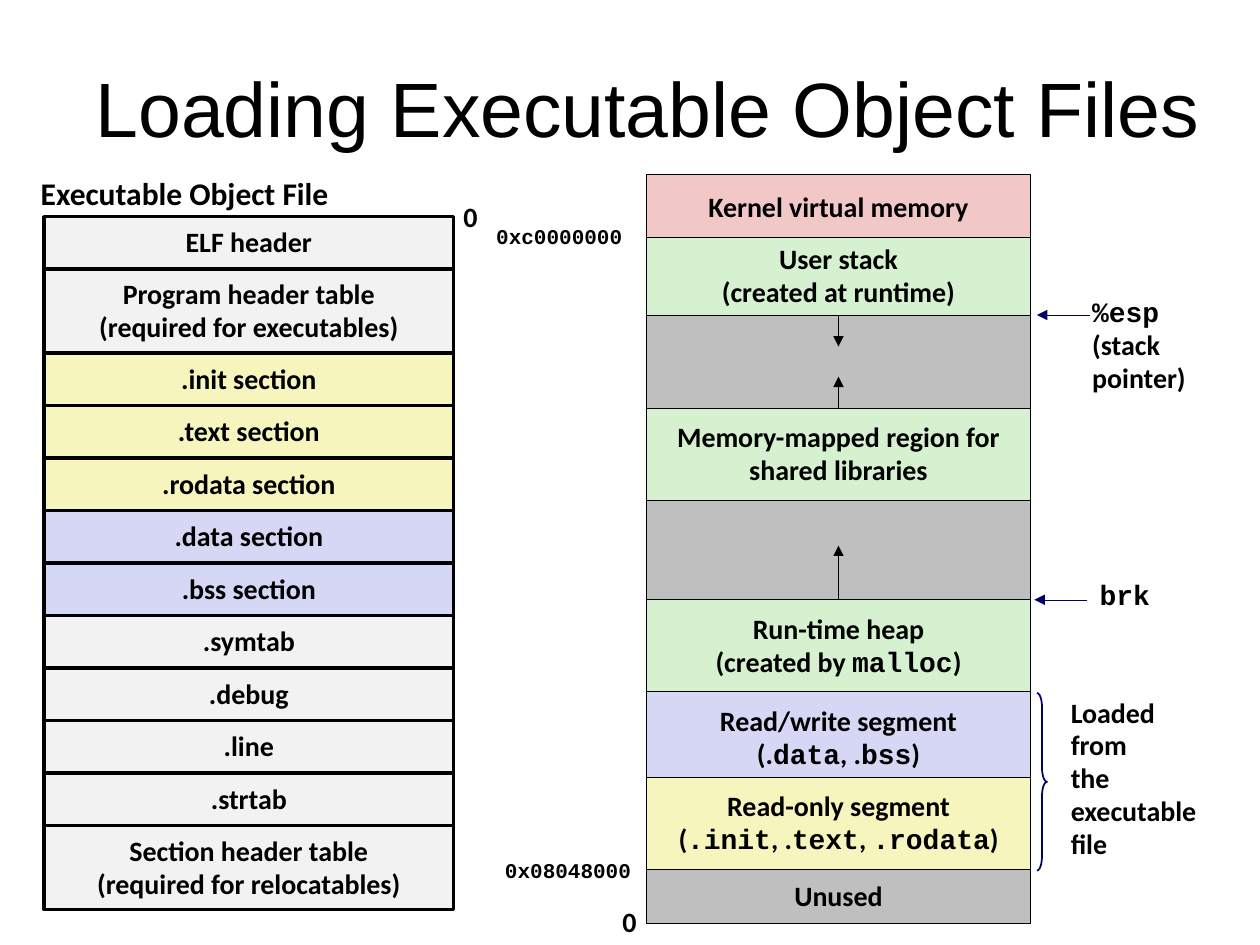
from lxml import etree
from pptx import Presentation
from pptx.dml.color import RGBColor
from pptx.enum.shapes import MSO_CONNECTOR, MSO_SHAPE
from pptx.enum.text import MSO_ANCHOR, MSO_AUTO_SIZE, PP_ALIGN
from pptx.oxml.ns import qn
from pptx.util import Inches, Pt

STRAIGHT = MSO_CONNECTOR.STRAIGHT
RECTANGLE, RIGHT_BRACE = MSO_SHAPE.RECTANGLE, MSO_SHAPE.RIGHT_BRACE
MIDDLE, TOP_ANCHOR = MSO_ANCHOR.MIDDLE, MSO_ANCHOR.TOP
GROW = MSO_AUTO_SIZE.SHAPE_TO_FIT_TEXT
LEFT, CENTER = PP_ALIGN.LEFT, PP_ALIGN.CENTER
TOP_SIDE, BOTTOM_SIDE = 0, 2

COLUMNS, ROWS = 100, 75
SLIDE_WIDTH, SLIDE_HEIGHT = Inches(10), Inches(7.5)
SANS, MONO = "Calibri", "Courier New"
COLORS = {
    "black": "000000", "navy": "000066", "header": "F2F2F2", "code": "F6F5BD",
    "data": "D6D6F5", "kernel": "F1C7C7", "dynamic": "D5F1CF", "unmapped": "BFBFBF",
}

# Text, colour, height in section rows
FILE_SECTIONS = [
    ("ELF header", "header", 1),
    ("Program header table\n(required for executables)", "header", 1.6),
    (".init section", "code", 1),
    (".text section", "code", 1),
    (".rodata section", "code", 1),
    (".data section", "data", 1),
    (".bss section", "data", 1),
    (".symtab", "header", 1),
    (".debug", "header", 1),
    (".line", "header", 1),
    (".strtab", "header", 1),
    ("Section header table\n(required for relocatables)", "header", 1.6),
]

# Name, text (code between backticks), colour, visible rows, rows under the next segment
MEMORY_SEGMENTS = [
    ("kernel", "Kernel virtual memory", "kernel", 5, 0.3),
    ("stack", "User stack\n(created at runtime)", "dynamic", 6.2, 0),
    ("stack gap", "", "unmapped", 7.4, 0),
    ("mapped", "Memory-mapped region for\nshared libraries", "dynamic", 7.3, 0),
    ("heap gap", "", "unmapped", 7.9, 0),
    ("heap", "Run-time heap\n(created by `malloc`)", "dynamic", 7.3, 0),
    ("read/write", "Read/write segment\n(.`data`, .`bss`)", "data", 6.8, 0.5),
    ("read-only", "Read-only segment\n(`.init`, .`text`, `.rodata`)", "code", 7.3, 0),
    ("unused", "Unused", "unmapped", 4.3, 0),
]


def across(columns):
    return round(SLIDE_WIDTH * columns / COLUMNS)


def down(rows):
    return round(SLIDE_HEIGHT * rows / ROWS)


def place(left, top, width, height):
    return across(left), down(top), across(width), down(height)


def color(name):
    return RGBColor.from_string(COLORS[name])


def write(text_frame, text, size=16, align=LEFT, anchor=TOP_ANCHOR):
    """Write bold lines, setting the parts between backticks in the code font."""
    text_frame.word_wrap = False
    text_frame.vertical_anchor = anchor
    for index, line in enumerate(text.split("\n")):
        paragraph = text_frame.add_paragraph() if index else text_frame.paragraphs[0]
        paragraph.alignment = align
        paragraph.line_spacing = 0.94 if line.startswith("`") else 0.98
        for part_index, part in enumerate(line.split("`")):
            if part:
                run = paragraph.add_run()
                run.text = part
                run.font.name = MONO if part_index % 2 else SANS
                run.font.size = Pt(size)
                run.font.bold = True
                run.font.color.rgb = color("black")


def add_block(slide, box, text, fill, line_width):
    block = slide.shapes.add_shape(RECTANGLE, *place(*box))
    block.shadow.inherit = False
    block.fill.solid()
    block.fill.fore_color.rgb = color(fill)
    block.line.color.rgb = color("black")
    block.line.width = Pt(line_width)
    if text:
        write(block.text_frame, text, align=CENTER, anchor=MIDDLE)
    return block


def add_label(slide, box, text, size=16, align=LEFT):
    label = slide.shapes.add_textbox(*place(*box))
    write(label.text_frame, text, size, align)
    label.text_frame.auto_size = GROW


def add_arrow(slide, start, end, line_color):
    arrow = slide.shapes.add_connector(
        STRAIGHT, across(start[0]), down(start[1]), across(end[0]), down(end[1]))
    arrow.line.color.rgb = color(line_color)
    arrow.line.width = Pt(0.25)
    etree.SubElement(arrow.line._get_or_add_ln(), qn("a:tailEnd"), type="triangle")
    etree.SubElement(arrow._element.spPr, qn("a:effectLst"))
    return arrow


def add_title(slide, box):
    title = slide.shapes.add_textbox(*place(*box))
    text_frame = title.text_frame
    text_frame.word_wrap = True
    text_frame.vertical_anchor = MIDDLE
    text_frame.text = "Loading Executable Object Files"
    paragraph = text_frame.paragraphs[0]
    paragraph.alignment = CENTER
    font = paragraph.runs[0].font
    font.name, font.size = "Arial", Pt(44)
    font.color.rgb = color("black")


def add_object_file(slide, left, top, width, height):
    row = height / sum(rows for _, _, rows in FILE_SECTIONS)
    section_top = top
    for text, fill, rows in FILE_SECTIONS:
        add_block(slide, (left, section_top, width, rows * row), text, fill, 2)
        section_top += rows * row
    add_label(slide, (left - 1.3, top - 3.7, 24.9, 4), "Executable Object File", 18, CENTER)
    add_label(slide, (left + width - 0.2, top - 1.7, 3.1, 3.6), "0")


def add_memory_map(slide, left, top, width, height):
    row = height / sum(segment[3] for segment in MEMORY_SEGMENTS)
    right, middle = left + width, left + width / 2
    blocks, tops = {}, {}
    segment_top = top
    for name, text, fill, rows, hidden_rows in MEMORY_SEGMENTS:
        box = (left, segment_top, width, (rows + hidden_rows) * row)
        blocks[name] = add_block(slide, box, text, fill, 0.25)
        tops[name] = segment_top
        segment_top += rows * row

    growth = [("stack", BOTTOM_SIDE, tops["stack gap"], 2.5),
              ("mapped", TOP_SIDE, tops["mapped"], -2.5),
              ("heap", TOP_SIDE, tops["heap"], -4.3)]
    for name, side, edge, reach in growth:
        arrow = add_arrow(slide, (middle, edge), (middle, edge + reach), "black")
        arrow.begin_connect(blocks[name], side)

    for edge, gap in ((tops["stack gap"], 0.5), (tops["heap"], 0.3)):
        add_arrow(slide, (right + gap + 4.2, edge), (right + gap, edge), "navy")
    add_label(slide, (right + 3.9, tops["stack gap"] - 1.9, 9.5, 8.8),
              "`%esp`\n(stack\npointer)")
    add_label(slide, (right + 4.5, tops["heap"] - 2, 6, 3.5), "`brk`")

    add_label(slide, (left - 12.9, tops["stack"] - 1.4, 12, 2.9), "`0xc0000000`", 12)
    add_label(slide, (left - 12.2, tops["unused"] - 1.3, 12, 2.9), "`0x08048000`", 12)
    add_label(slide, (left - 2.9, top + height - 1.9, 3.1, 3.6), "0")

    loaded_top = tops["read/write"]
    loaded_height = tops["unused"] - loaded_top
    brace = slide.shapes.add_shape(
        RIGHT_BRACE, *place(right + 0.5, loaded_top + 0.1, 0.8, loaded_height))
    brace.shadow.inherit = False
    brace.fill.background()
    brace.line.color.rgb = color("navy")
    brace.line.width = Pt(1)
    brace.adjustments[0] = 1.4
    add_label(slide, (right + 2.2, loaded_top - 0.1, 12.6, loaded_height),
              "Loaded\nfrom\nthe\nexecutable\nfile")


def main():
    presentation = Presentation()
    presentation.slide_width, presentation.slide_height = SLIDE_WIDTH, SLIDE_HEIGHT
    slide = presentation.slides.add_slide(presentation.slide_layouts[6])
    add_title(slide, (3.8, 4.2, 95.3, 8.6))
    add_object_file(slide, 3.5, 17.2, 32.5, 55)
    add_memory_map(slide, 51.3, 13.8, 30.5, 59.5)
    presentation.save("out.pptx")


if __name__ == "__main__":
    main()
